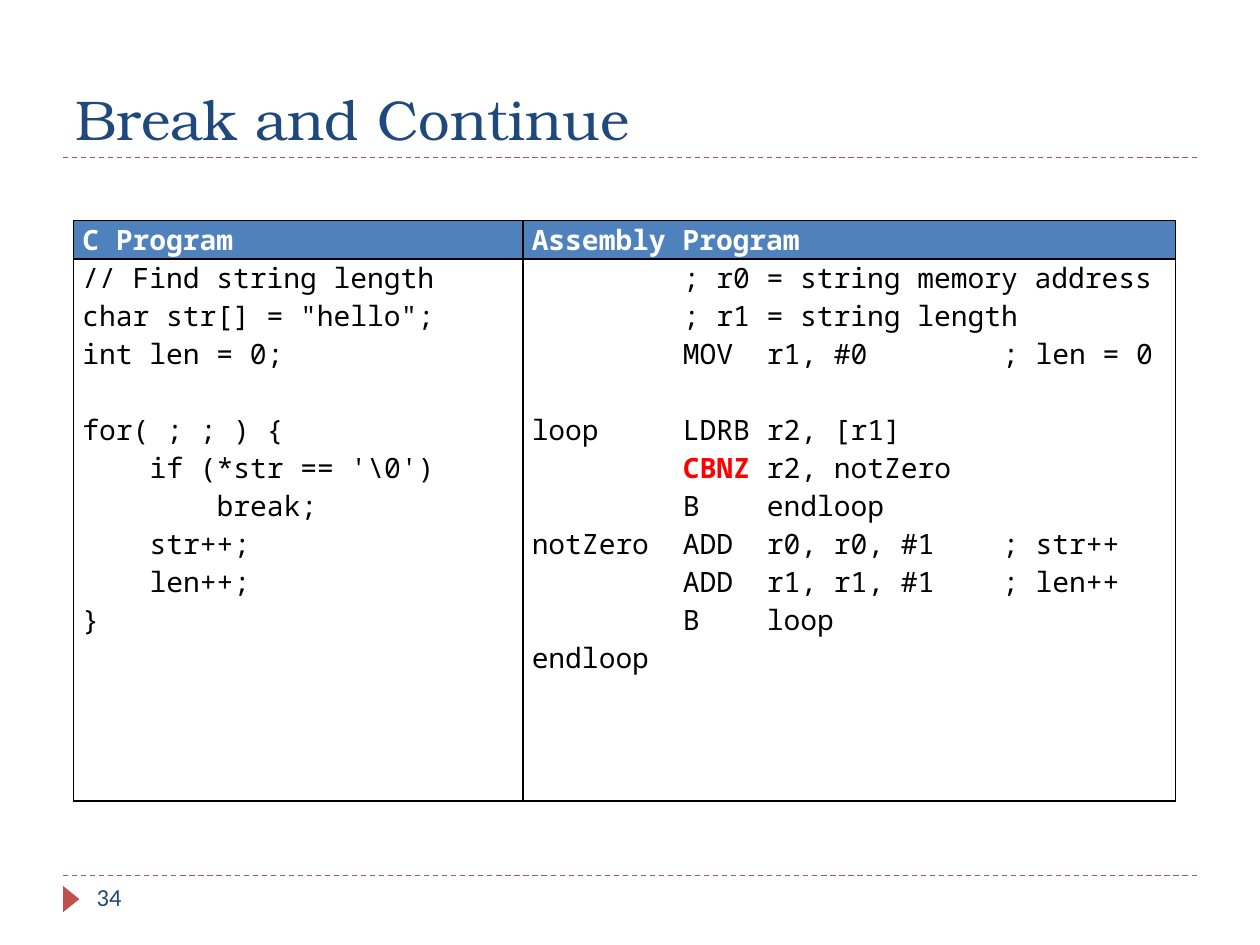
from lxml import etree
from pptx import Presentation
from pptx.dml.color import RGBColor
from pptx.enum.dml import MSO_LINE
from pptx.enum.shapes import MSO_CONNECTOR, MSO_SHAPE
from pptx.enum.text import MSO_ANCHOR
from pptx.oxml.ns import qn
from pptx.util import Cm, Pt

DASH = MSO_LINE.DASH
STRAIGHT = MSO_CONNECTOR.STRAIGHT
TRIANGLE = MSO_SHAPE.ISOSCELES_TRIANGLE
TOP, BOTTOM = MSO_ANCHOR.TOP, MSO_ANCHOR.BOTTOM

COLORS = {"navy": "1F497D", "accent": "C0504D", "header": "4F81BD",
          "white": "FFFFFF", "black": "000000", "keyword": "FF0000"}
CODE_FONT = "Noto Sans Mono"
CODE_SIZE = 16
CHAR_CM = 0.6 * CODE_SIZE * 2.54 / 72
BLANK_LINE = 21.8
ASSEMBLY_COLUMNS = (9, 14, 28)
KEYWORD = "CBNZ"

HEADINGS = ("C Program", "Assembly Program")
C_LINES = [
    (0, "// Find string length"),
    (0, 'char str[] = "hello";'),
    (0, "int len = 0;"),
    (0, "for( ; ; ) {"),
    (4, "if (*str == '\\0')"),
    (8, "break;"),
    (4, "str++;"),
    (4, "len++;"),
    (0, "}"),
]
ASSEMBLY_LINES = [
    (0, "\t; r0 = string memory address"),
    (0, "\t; r1 = string length"),
    (0, "\tMOV\tr1, #0\t; len = 0"),
    (0, "loop\tLDRB\tr2, [r1]"),
    (0, "\tCBNZ\tr2, notZero"),
    (0, "\tB\tendloop"),
    (0, "notZero\tADD\tr0, r0, #1\t; str++"),
    (0, "\tADD\tr1, r1, #1\t; len++"),
    (0, "\tB\tloop"),
    (0, "endloop"),
]
LOOP_STARTS = ("for(", "loop")


def rgb(name):
    """Return the named colour."""
    return RGBColor.from_string(COLORS[name])


def write(paragraph, text, font=CODE_FONT, size=CODE_SIZE, color="black", bold=False):
    """Add a formatted run to a paragraph."""
    run = paragraph.add_run()
    run.text = text
    run.font.name = font
    run.font.size = Pt(size)
    run.font.bold = bold
    run.font.color.rgb = rgb(color)


def add_label(slide, box, text, anchor=TOP, **style):
    """Place one line of text in a box."""
    frame = slide.shapes.add_textbox(*map(Cm, box)).text_frame
    frame.word_wrap = True
    frame.vertical_anchor = anchor
    write(frame.paragraphs[0], text, **style)


def add_rule(slide, left, top, width):
    """Draw a dashed horizontal rule."""
    rule = slide.shapes.add_connector(STRAIGHT, Cm(left), Cm(top), Cm(left + width), Cm(top))
    rule.line.color.rgb = rgb("accent")
    rule.line.width = Pt(0.75)
    rule.line.dash_style = DASH
    etree.SubElement(rule._element.spPr, qn("a:effectLst"))


def add_title(slide, box):
    """Place the title with a rule along its lower edge."""
    left, top, width, height = box
    add_rule(slide, left, top + height, width)
    add_label(slide, box, "Break and Continue", anchor=BOTTOM,
              font="TeX Gyre Bonum", size=32, color="navy")


def add_footer(slide, box):
    """Place the rule, marker and slide number of the footer."""
    left, top, width, height = box
    add_rule(slide, left, top, width)
    marker = slide.shapes.add_shape(TRIANGLE, Cm(left - 0.1), Cm(top + 0.31), Cm(0.53), Cm(0.33))
    marker.rotation = 90
    marker.shadow.inherit = False
    marker.fill.solid()
    marker.fill.fore_color.rgb = rgb("accent")
    marker.line.fill.background()
    add_label(slide, (left + 0.43, top, 5.5, height), "34",
              font="Calibri", size=14, color="navy")


def style_cell(cell):
    """Set the margins and black borders of a cell."""
    cell.margin_left = cell.margin_right = Cm(0.18)
    cell.margin_top = cell.margin_bottom = 0
    properties = cell._tc.get_or_add_tcPr()
    for side in ("a:lnL", "a:lnR", "a:lnT", "a:lnB"):
        border = etree.SubElement(properties, qn(side), w=str(Pt(1)))
        fill = etree.SubElement(border, qn("a:solidFill"))
        etree.SubElement(fill, qn("a:srgbClr"), val=COLORS["black"])


def fill_code(cell, lines, columns=()):
    """Write code lines with indents and tab stops counted in characters."""
    frame = cell.text_frame
    for number, (indent, code) in enumerate(lines):
        line = frame.add_paragraph() if number else frame.paragraphs[0]
        if code.startswith(LOOP_STARTS):
            line.space_before = Pt(BLANK_LINE)
        properties = line._p.get_or_add_pPr()
        properties.set("marL", str(Cm(indent * CHAR_CM)))
        if columns:
            stops = etree.SubElement(properties, qn("a:tabLst"))
            for column in columns:
                etree.SubElement(stops, qn("a:tab"), pos=str(Cm(column * CHAR_CM)), algn="l")
        before, keyword, after = code.partition(KEYWORD)
        write(line, before)
        if keyword:
            write(line, keyword, color="keyword", bold=True)
            write(line, after)


def add_programs(slide, box):
    """Build the table that sets C beside assembly."""
    left, top, width, height = box
    header_height, c_width = 0.77, 9.06
    table = slide.shapes.add_table(2, 2, *map(Cm, box)).table
    table.horz_banding = False
    table.columns[0].width = Cm(c_width)
    table.columns[1].width = Cm(width - c_width)
    table.rows[0].height = Cm(header_height)
    table.rows[1].height = Cm(height - header_height)
    for cell in table.iter_cells():
        style_cell(cell)
    for column, heading in enumerate(HEADINGS):
        header, body = table.cell(0, column), table.cell(1, column)
        header.fill.solid()
        header.fill.fore_color.rgb = rgb("header")
        body.fill.background()
        write(header.text_frame.paragraphs[0], heading, color="white", bold=True)
    fill_code(table.cell(1, 0), C_LINES)
    fill_code(table.cell(1, 1), ASSEMBLY_LINES, ASSEMBLY_COLUMNS)


def main():
    """Build and save the slide."""
    deck = Presentation()
    deck.slide_width, deck.slide_height = Cm(25.4), Cm(19.05)
    slide = deck.slides.add_slide(deck.slide_layouts[6])
    add_footer(slide, (1.27, 17.65, 22.86, 1.02))
    add_title(slide, (1.27, 0.43, 22.86, 2.75))
    add_programs(slide, (1.48, 4.45, 22.22, 11.7))
    deck.save("out.pptx")


if __name__ == "__main__":
    main()
